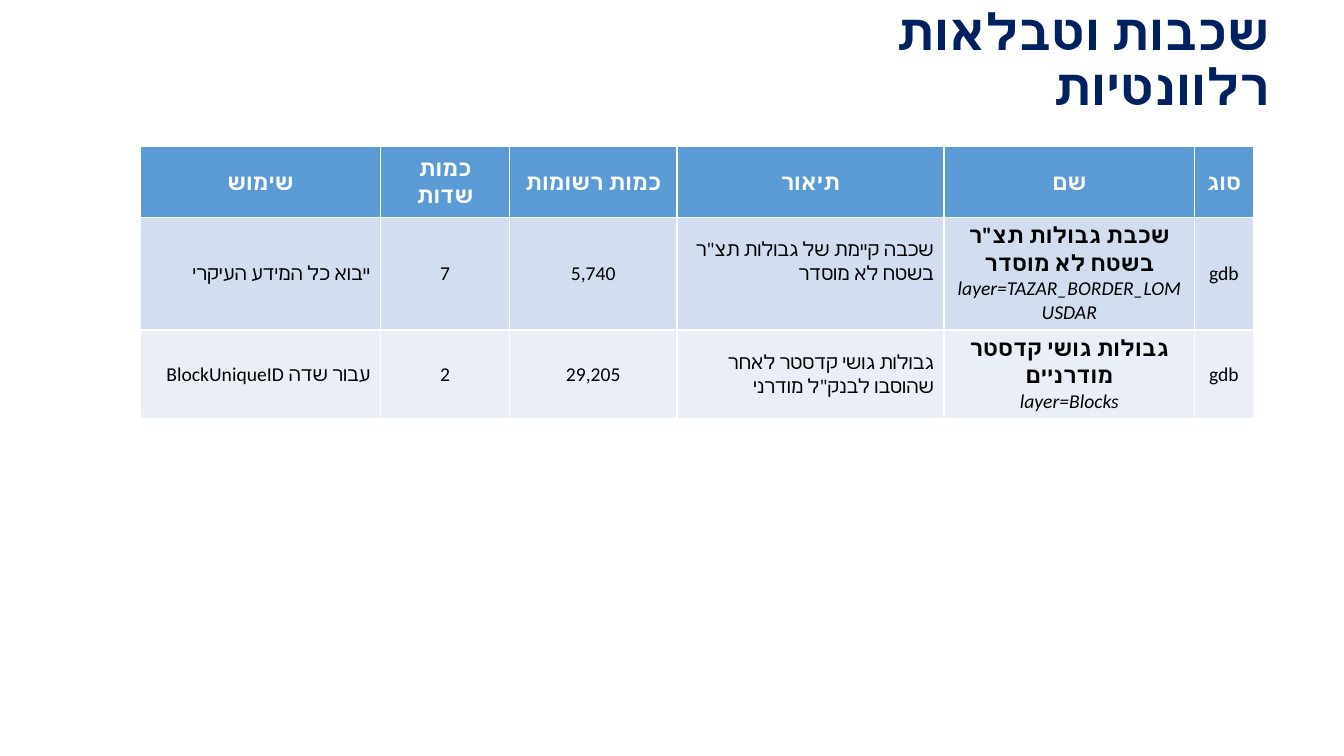
import pptx
import pptx.util
import pptx.dml.color
import pptx.enum.text
import pptx.oxml.ns
from lxml import etree

Cm = pptx.util.Cm
ALIGN = pptx.enum.text.PP_ALIGN
MIDDLE = pptx.enum.text.MSO_ANCHOR.MIDDLE


def rgb(value):
    return pptx.dml.color.RGBColor.from_string(value)


def write(p, text, color, rtl=False, **font):
    p.alignment = ALIGN.RIGHT if rtl else ALIGN.CENTER
    if rtl:
        p._p.get_or_add_pPr().set("rtl", "1")
    r = p.add_run()
    r.text = text
    r.font.color.rgb = rgb(color)
    for name, value in font.items():
        setattr(r.font, name, value)
    cs = etree.SubElement(r._r.get_or_add_rPr(), pptx.oxml.ns.qn("a:cs"))
    cs.set("typeface", font["name"])


header = dict(name="Cabin", size=pptx.util.Pt(16), bold=True, italic=False)
body = dict(name="Calibri", size=pptx.util.Pt(14), bold=False, italic=False)
layer_name = dict(body, size=pptx.util.Pt(16), bold=True)
layer_code = dict(body, italic=True)

columns = [6.05, 3.25, 4.22, 6.73, 6.32, 1.47]
heights = [1.78, 1.47, 1.63]
fills = ["5B9BD5", "D2DEEF", "EAEFF7"]
rtl_columns = (0, 3)
name_column = 4
rows = [
    [["שימוש"], ["כמות", "שדות"], ["כמות רשומות"], ["תיאור"], ["שם"], ["סוג"]],
    [["ייבוא כל המידע העיקרי"], ["7"], ["5,740"],
     ['שכבה קיימת של גבולות תצ"ר בשטח לא מוסדר'],
     ['שכבת גבולות תצ"ר בשטח לא מוסדר', "layer=TAZAR_BORDER_LOMUSDAR"], ["gdb"]],
    [["עבור שדה BlockUniqueID"], ["2"], ["29,205"],
     ['גבולות גושי קדסטר לאחר שהוסבו לבנק"ל מודרני'],
     ["גבולות גושי קדסטר מודרניים", "layer=Blocks"], ["gdb"]],
]

prs = pptx.Presentation()
prs.slide_width, prs.slide_height = Cm(33.87), Cm(19.05)
s = prs.slides.add_slide(prs.slide_layouts[5])

title = s.shapes.title
title.left, title.top, title.width, title.height = Cm(19.05), Cm(0.69), Cm(13.21), Cm(1.73)
tf = title.text_frame
tf.word_wrap = True
tf.auto_size = pptx.enum.text.MSO_AUTO_SIZE.NONE
tf.vertical_anchor = MIDDLE
tf.paragraphs[0].line_spacing = 0.9
write(tf.paragraphs[0], "שכבות וטבלאות רלוונטיות", "002060", rtl=True,
      name="Calibri", size=pptx.util.Pt(36), bold=True)

table = s.shapes.add_table(len(rows), len(columns), Cm(3.54), Cm(3.7),
                           Cm(sum(columns)), Cm(sum(heights))).table
for column, width in zip(table.columns, columns):
    column.width = Cm(width)

for i, (row, height, fill) in enumerate(zip(rows, heights, fills)):
    table.rows[i].height = Cm(height)
    for j, lines in enumerate(row):
        cell = table.cell(i, j)
        cell.fill.solid()
        cell.fill.fore_color.rgb = rgb(fill)
        cell.vertical_anchor = MIDDLE
        tf = cell.text_frame
        for k, line in enumerate(lines):
            p = tf.add_paragraph() if k else tf.paragraphs[0]
            if i == 0:
                write(p, line, "FFFFFF", **header)
            elif j == name_column:
                write(p, line, "000000", **(layer_code if k else layer_name))
            else:
                write(p, line, "000000", rtl=j in rtl_columns, **body)

table.cell(1, 3).margin_bottom = Cm(0.75)

prs.save("out.pptx")
